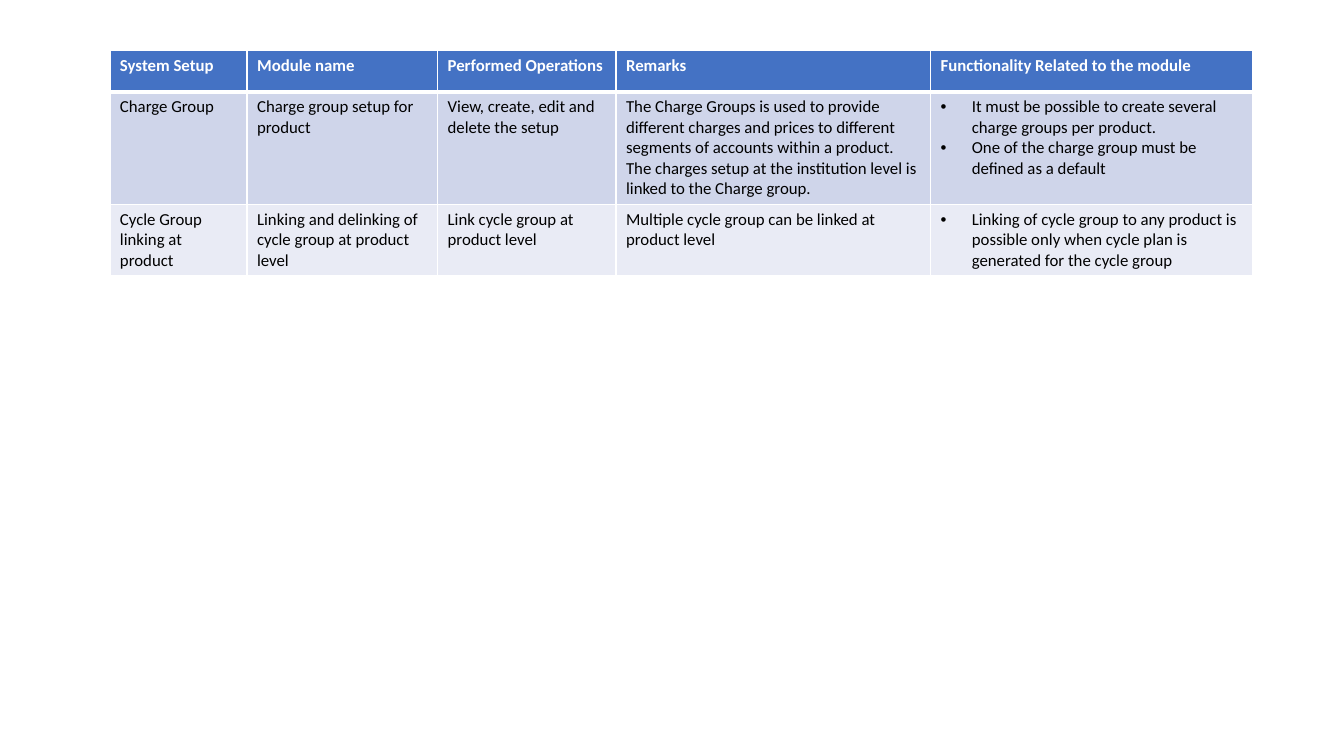
import dataclasses

import pptx
import pptx.dml.color
import pptx.oxml
import pptx.oxml.ns
import pptx.util
from pptx.util import Inches


@dataclasses.dataclass(frozen=True)
class Theme:
    font: str = "Calibri"
    size: int = 12
    head: str = "4472C4"
    bands: tuple = ("CFD5EA", "E9EBF5")
    light: str = "FFFFFF"
    dark: str = "000000"
    thin: int = 1
    thick: int = 3


THEME = Theme()
LEFT, TOP, HEIGHT = 1.09, 0.5, 2.21
WIDTHS = (1.36, 1.89, 1.77, 3.12, 3.19)
ROW = 0.41
INDENT = 0.31

HEADS = ("System Setup", "Module name", "Performed Operations", "Remarks",
         "Functionality Related to the module")
# A list within a row is set as bullets.
ROWS = (
    ("Charge Group",
     "Charge group setup for product",
     "View, create, edit and delete the setup",
     "The Charge Groups is used to provide different charges and prices to "
     "different segments of accounts within a product. The charges setup at "
     "the institution level is linked to the Charge group.",
     ["It must be possible to create several charge groups per product.",
      "One of the charge group must be defined as a default"]),
    ("Cycle Group linking at product",
     "Linking and delinking of cycle group at product level",
     "Link cycle group at product level",
     "Multiple cycle group can be linked at product level",
     ["Linking of cycle group to any product is possible only when cycle "
      "plan is generated for the cycle group"]),
)


def color(code):
    return pptx.dml.color.RGBColor.from_string(code)


def add_bullet(para):
    props = para._p.get_or_add_pPr()
    props.set("marL", str(Inches(INDENT)))
    props.set("indent", str(-Inches(INDENT)))
    space = pptx.oxml.ns.nsdecls("a")
    props.append(pptx.oxml.parse_xml(f'<a:buFont {space} typeface="Arial"/>'))
    props.append(pptx.oxml.parse_xml(f'<a:buChar {space} char="•"/>'))


def set_border(cell, top, bottom):
    """Draw the cell's edges; top and bottom are widths in points."""
    props = cell._tc.get_or_add_tcPr()
    sides = {"L": THEME.thin, "R": THEME.thin, "T": top, "B": bottom}
    for side, width in sides.items():
        props.append(pptx.oxml.parse_xml(
            f'<a:ln{side} {pptx.oxml.ns.nsdecls("a")} '
            f'w="{pptx.util.Pt(width)}"><a:solidFill>'
            f'<a:srgbClr val="{THEME.light}"/></a:solidFill></a:ln{side}>'))


def fill_cell(cell, text, fill, ink, bold):
    cell.fill.solid()
    cell.fill.fore_color.rgb = color(fill)
    listed = isinstance(text, list)
    cell.text = "\n".join(text) if listed else text
    for para in cell.text_frame.paragraphs:
        font = para.font
        font.name = THEME.font
        font.size = pptx.util.Pt(THEME.size)
        font.bold = bold
        font.color.rgb = color(ink)
        if listed:
            add_bullet(para)


def add_grid(slide):
    lines = (HEADS, *ROWS)
    frame = slide.shapes.add_table(
        len(lines), len(WIDTHS), Inches(LEFT), Inches(TOP),
        Inches(sum(WIDTHS)), Inches(ROW * len(lines)))
    table = frame.table
    for column, width in zip(table.columns, WIDTHS):
        column.width = Inches(width)
    for index, line in enumerate(lines):
        table.rows[index].height = Inches(ROW)
        head = index == 0
        fill = THEME.head if head else THEME.bands[(index - 1) % 2]
        ink = THEME.light if head else THEME.dark
        top = THEME.thick if index == 1 else THEME.thin
        bottom = THEME.thick if head else THEME.thin
        for cell, text in zip(table.rows[index].cells, line):
            set_border(cell, top, bottom)
            fill_cell(cell, text, fill, ink, head)
    frame.height = Inches(HEIGHT)


def main():
    deck = pptx.Presentation()
    deck.slide_width, deck.slide_height = Inches(13.33), Inches(7.5)
    slide = deck.slides.add_slide(deck.slide_layouts[6])
    add_grid(slide)
    deck.save("out.pptx")


if __name__ == "__main__":
    main()
